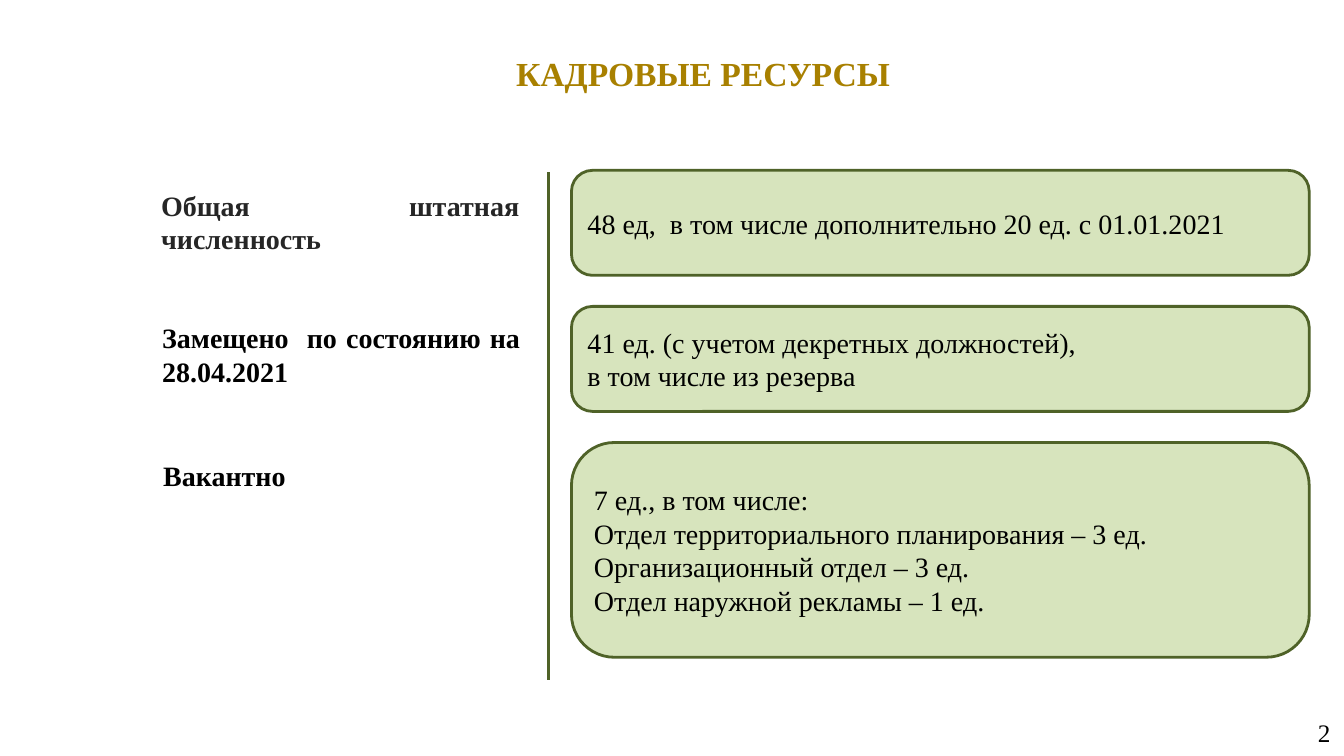
"""Build the staffing resources slide."""
import pptx
import pptx.util
import pptx.dml.color
import pptx.enum.shapes
import pptx.enum.text
import lxml.etree

Pt = pptx.util.Pt
ALIGN = pptx.enum.text.PP_ALIGN
ANCHOR = pptx.enum.text.MSO_ANCHOR

TITLE = "КАДРОВЫЕ РЕСУРСЫ"
PAGE_NUMBER = "2"
ROWS = [
    {"label": "Общая штатная численность", "color": "label", "top": 131, "label_height": 55.4,
     "height": 75, "lines": ["48 ед,  в том числе дополнительно 20 ед. с 01.01.2021"]},
    {"label": "Замещено  по состоянию на 28.04.2021", "color": "text", "top": 225.4, "label_height": 55.4,
     "height": 75, "lines": ["41 ед. (с учетом декретных должностей),", "в том числе из резерва"]},
    {"label": "Вакантно", "color": "text", "top": 324, "label_height": 31,
     "height": 153.4, "lines": ["7 ед., в том числе:",
                                "Отдел территориального планирования – 3 ед.",
                                "Организационный отдел – 3 ед.",
                                "Отдел наружной рекламы – 1 ед."]},
]
COLORS = {"title": "A88000", "label": "262626", "text": "000000",
          "fill": "D7E4BD", "line": "4F6228"}
FONT = "Times New Roman"
LABEL_LEFT, LABEL_WIDTH, LABEL_STEP = 108, 270, 0.7
BOX_LEFT, BOX_WIDTH = 408.2, 527
BOX_TOP, BOX_PITCH = 121.7, 97.2
DIVIDER_X, DIVIDER_TOP, DIVIDER_BOTTOM = 391.7, 123, 486


def rgb(name):
    """Return the named colour."""
    return pptx.dml.color.RGBColor.from_string(COLORS[name])


def write(sp, lines, size=20, color="text", bold=False, align=ALIGN.LEFT,
          anchor=ANCHOR.TOP, margins=(7.2, 3.6)):
    """Fill a shape with formatted paragraphs."""
    tf = sp.text_frame
    tf.word_wrap = True
    tf.auto_size = pptx.enum.text.MSO_AUTO_SIZE.NONE
    tf.vertical_anchor = anchor
    tf.margin_left = tf.margin_right = Pt(margins[0])
    tf.margin_top = tf.margin_bottom = Pt(margins[1])
    for i, line in enumerate(lines):
        p = tf.add_paragraph() if i else tf.paragraphs[0]
        p.alignment = align
        r = p.add_run()
        r.text = line
        r.font.name = FONT
        r.font.size = Pt(size)
        r.font.bold = bold
        r.font.color.rgb = rgb(color)


def outline(sp):
    """Give a shape or connector the green line."""
    sp.line.color.rgb = rgb("line")
    sp.line.width = Pt(2)


def main():
    """Compose and save the slide."""
    prs = pptx.Presentation()
    prs.slide_width, prs.slide_height = Pt(960), Pt(540)
    s = prs.slides.add_slide(prs.slide_layouts[5])

    title = s.shapes.title
    title.left, title.top, title.width, title.height = Pt(118.8), Pt(33.1), Pt(766.8), Pt(38.2)
    write(title, [TITLE], size=24, color="title", bold=True, align=ALIGN.CENTER, margins=(9.4, 5))

    divider = s.shapes.add_connector(pptx.enum.shapes.MSO_CONNECTOR.STRAIGHT, Pt(DIVIDER_X),
                                     Pt(DIVIDER_TOP), Pt(DIVIDER_X), Pt(DIVIDER_BOTTOM))
    outline(divider)
    lxml.etree.SubElement(divider._element.spPr, pptx.oxml.ns.qn("a:effectLst"))

    for i, row in enumerate(ROWS):
        label = s.shapes.add_textbox(Pt(LABEL_LEFT + i * LABEL_STEP), Pt(row["top"]),
                                     Pt(LABEL_WIDTH), Pt(row["label_height"]))
        write(label, [row["label"]], color=row["color"], bold=True, align=ALIGN.JUSTIFY)

        box = s.shapes.add_shape(pptx.enum.shapes.MSO_SHAPE.ROUNDED_RECTANGLE, Pt(BOX_LEFT),
                                 Pt(BOX_TOP + i * BOX_PITCH), Pt(BOX_WIDTH), Pt(row["height"]))
        box.adjustments[0] = 0.2
        box.shadow.inherit = False
        box.fill.solid()
        box.fill.fore_color.rgb = rgb("fill")
        outline(box)
        write(box, row["lines"], anchor=ANCHOR.MIDDLE)

    number = s.shapes.add_textbox(Pt(735.8), Pt(509), Pt(224), Pt(28.8))
    write(number, [PAGE_NUMBER], size=18, align=ALIGN.RIGHT, anchor=ANCHOR.MIDDLE, margins=(9.4, 5))
    prs.save("out.pptx")


if __name__ == "__main__":
    main()
